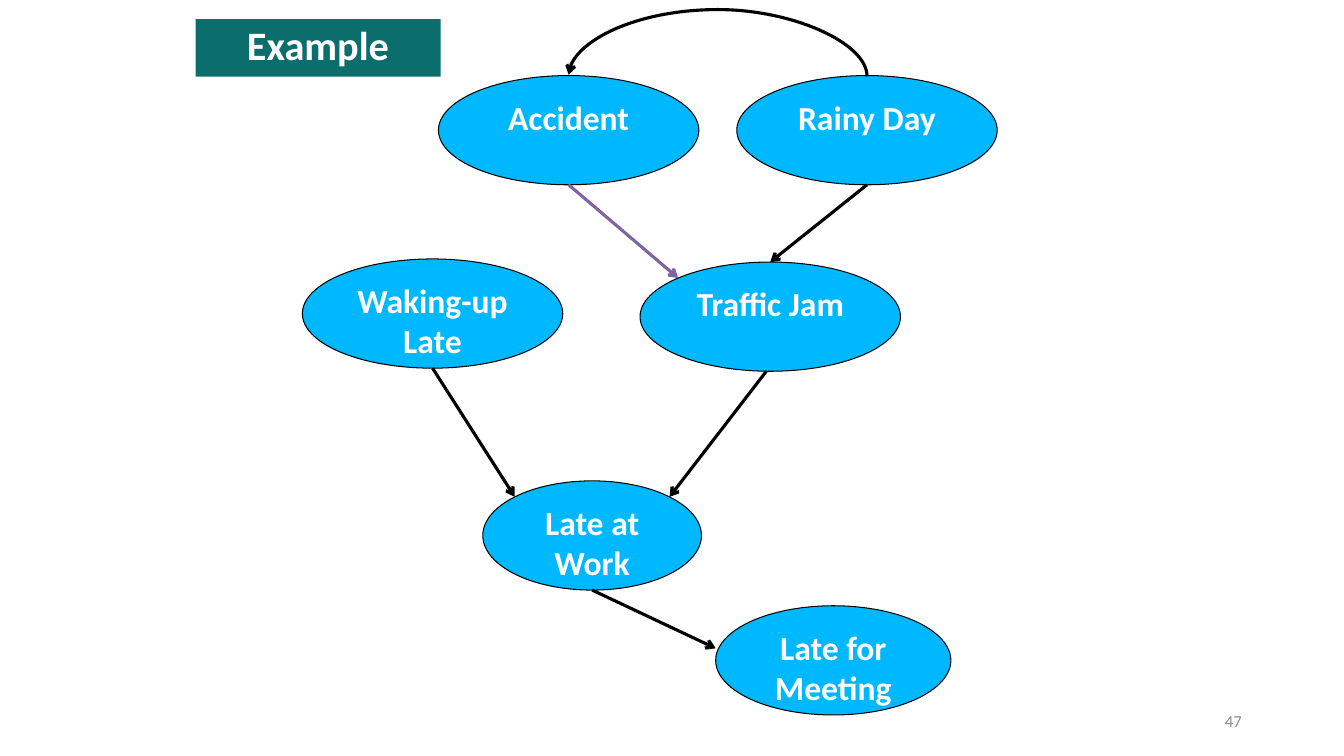
"""Build the traffic-jam Bayesian network example slide."""
import pptx
import pptx.util
import pptx.dml.color
import pptx.enum.shapes
import pptx.enum.text
from lxml import etree
from pptx.oxml.ns import qn

Pt = pptx.util.Pt
ALIGN = pptx.enum.text.PP_ALIGN
ANCHOR = pptx.enum.text.MSO_ANCHOR
CONN = pptx.enum.shapes.MSO_CONNECTOR

NODE_H = 78
NODES = {
    "Late at Work": (344.9, 343.5, 156.2),
    "Waking-up Late": (216, 185, 186),
    "Traffic Jam": (457.2, 187.2, 186),
    "Rainy Day": (526.3, 54, 186),
    "Accident": (313.2, 54, 186),
    "Late for Meeting": (511.2, 432.7, 168),
}
TOP, BOTTOM = (0.5, 0), (0.5, 1)
UPPER_LEFT, UPPER_RIGHT = (0.146, 0.146), (0.854, 0.146)
EDGES = [
    ("Waking-up Late", BOTTOM, "Late at Work", UPPER_LEFT, "000000"),
    ("Traffic Jam", (0.485, 1), "Late at Work", UPPER_RIGHT, "000000"),
    ("Rainy Day", BOTTOM, "Traffic Jam", TOP, "000000"),
    ("Accident", BOTTOM, "Traffic Jam", UPPER_LEFT, "8064A2"),
    ("Late at Work", BOTTOM, "Late for Meeting", (0, 0.39), "000000"),
]
ARC_RISE = 48


def rgb(value):
    return pptx.dml.color.RGBColor.from_string(value)


def write(sp, text, size=24, color="FFFFFF", bold=True, align=ALIGN.CENTER,
          anchor=ANCHOR.TOP, spacing=None):
    tf = sp.text_frame
    tf.word_wrap = True
    tf.auto_size = pptx.enum.text.MSO_AUTO_SIZE.NONE
    tf.vertical_anchor = anchor
    p = tf.paragraphs[0]
    p.alignment = align
    p.line_spacing = spacing
    r = p.add_run()
    r.text = text
    r.font.name = "Calibri"
    r.font.size = Pt(size)
    r.font.bold = bold
    r.font.color.rgb = rgb(color)


def site(name, fraction):
    x, y, w = NODES[name]
    return x + w * fraction[0], y + NODE_H * fraction[1]


def arrow(s, kind, start, end, color="000000"):
    cx = s.shapes.add_connector(kind, *(Pt(v) for v in (*start, *end)))
    cx.line.color.rgb = rgb(color)
    cx.line.width = Pt(2.25)
    etree.SubElement(cx.line._get_or_add_ln(), qn("a:tailEnd"), type="arrow")
    etree.SubElement(cx._element.spPr, qn("a:effectLst"))
    return cx


def arc(s, start, end):
    span = start[0] - end[0]
    mid_x, mid_y = (start[0] + end[0]) / 2, start[1]
    cx = arrow(s, CONN.CURVE, (mid_x - 0.5, mid_y + span / 2),
               (mid_x + 0.5, mid_y - span / 2))
    spPr = cx._element.spPr
    spPr.find(qn("a:xfrm")).set("rot", str(270 * 60000))
    geom = spPr.find(qn("a:prstGeom"))
    guides = geom.find(qn("a:avLst"))
    if guides is None:
        guides = etree.SubElement(geom, qn("a:avLst"))
    etree.SubElement(guides, qn("a:gd"), name="adj1", fmla=f"val {ARC_RISE * 100000}")


def main():
    prs = pptx.Presentation()
    prs.slide_width, prs.slide_height = Pt(960), Pt(540)
    s = prs.slides.add_slide(prs.slide_layouts[5])

    title = s.shapes.title
    title.left, title.top, title.width, title.height = Pt(139.7), Pt(13.7), Pt(175), Pt(41)
    title.fill.solid()
    title.fill.fore_color.rgb = rgb("0C6E6C")
    write(title, "Example", size=28.8, anchor=ANCHOR.MIDDLE, spacing=0.9)

    number = s.shapes.add_textbox(Pt(678.2), Pt(500.4), Pt(216), Pt(28.8))
    write(number, "47", size=12, color="8C8C8C", bold=False,
          align=ALIGN.RIGHT, anchor=ANCHOR.MIDDLE)

    for name, (x, y, w) in NODES.items():
        sp = s.shapes.add_shape(pptx.enum.shapes.MSO_SHAPE.OVAL,
                                Pt(x), Pt(y), Pt(w), Pt(NODE_H))
        sp.shadow.inherit = False
        sp.fill.solid()
        sp.fill.fore_color.rgb = rgb("00B8FF")
        sp.line.color.rgb = rgb("000000")
        sp.line.width = Pt(0.75)
        write(sp, name)

    for source, out, target, into, color in EDGES:
        arrow(s, CONN.STRAIGHT, site(source, out), site(target, into), color)
    arc(s, site("Rainy Day", TOP), site("Accident", TOP))

    prs.save("out.pptx")


if __name__ == "__main__":
    main()
